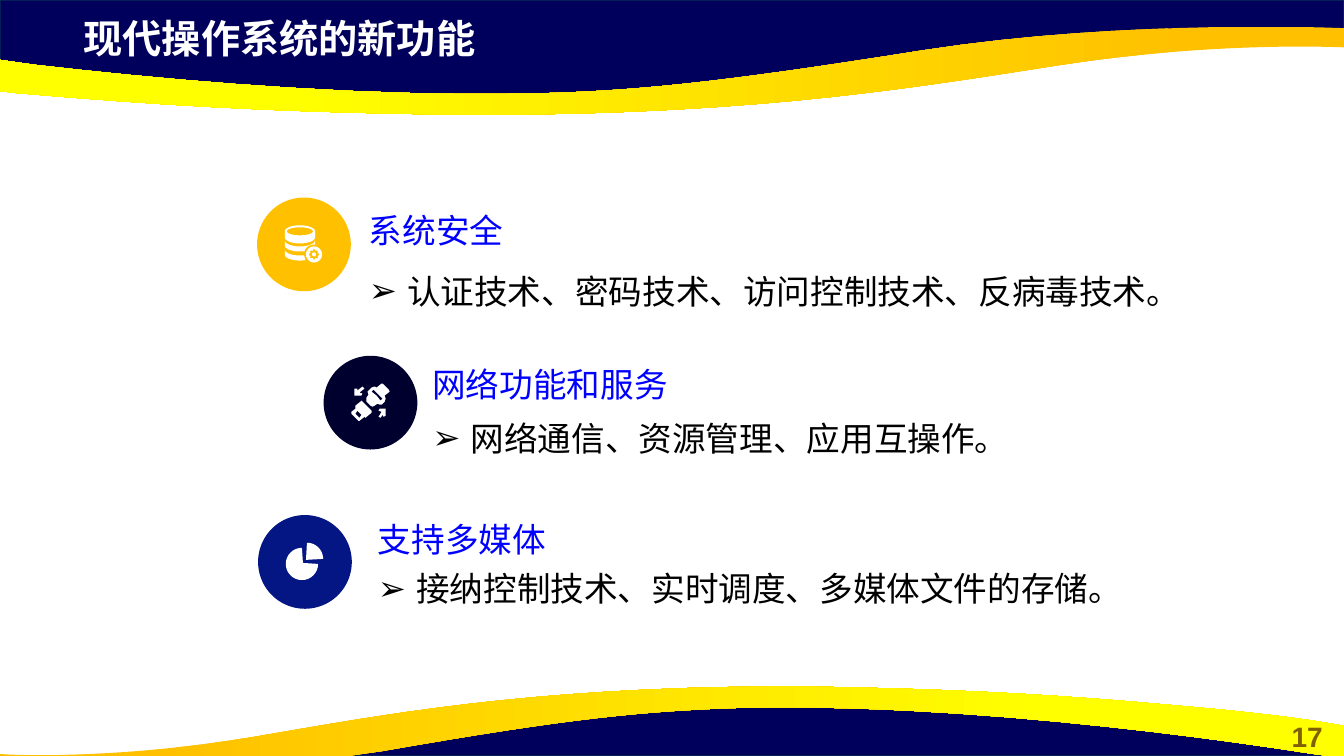
from math import cos, radians, sin

from lxml import etree
from pptx import Presentation
from pptx.dml.color import RGBColor
from pptx.enum.shapes import MSO_SHAPE
from pptx.enum.text import MSO_ANCHOR, PP_ALIGN
from pptx.oxml.ns import qn
from pptx.util import Inches, Pt

OVAL = MSO_SHAPE.OVAL
MIDDLE, TOP = MSO_ANCHOR.MIDDLE, MSO_ANCHOR.TOP
LEFT, CENTER = PP_ALIGN.LEFT, PP_ALIGN.CENTER
W, H = 13.33, 7.5
FONT = "Arial"
ICON = 0.38
DISC = 0.93
COLORS = {
    "navy": "00005C", "edge": "05304F", "gold": "FFC000", "yellow": "FFFF00",
    "ink": "00002E", "blue": "031684", "white": "FFFFFF", "black": "000000",
    "heading": "0000FF", "number": "806000",
}

TOP_NAVY = [(0, 0), (0, 0.7), (2.93, 1.02), (5.59, 1), (7.95, 0.88),
            (10.16, 0.5), (12.38, 0.33), (W, 0.38), (W, 0)]
BOTTOM_NAVY = [(W, H), (W, 7.24), (10.4, 6.91), (7.73, 6.93), (5.38, 7.06),
               (3.17, 7.43), (2.75, H)]
TOP_RIBBON = [
    (4.83, 1.14), (4.43, 1.14, 4.01, 1.13, 3.56, 1.12),
    (2.06, 1.08, 1.1, 1, 0.36, 0.94), (-0.88, 0.84, -1.3, 0.75, -1.33, 0.75),
    (-1.33, 0.42), (-1.33, 0.42, 2.18, 0.98, 5.17, 0.93),
    (6.26, 0.91, 7.08, 0.83, 9.15, 0.5), (11.21, 0.18, 13.33, 0.28, 13.33, 0.28),
    (13.33, 0.47), (13.05, 0.46, 11.95, 0.43, 10.55, 0.64),
    (9.18, 0.85, 7.62, 1.13, 4.83, 1.14)]
BOTTOM_RIBBON = [
    (7.72, 6.81), (8.09, 6.81, 8.47, 6.82, 8.88, 6.83),
    (10.25, 6.87, 11.12, 6.95, 11.79, 7.01), (12.92, 7.11, 13.3, 7.2, 13.33, 7.2),
    (13.33, 7.53), (13.33, 7.53, 10.14, 6.97, 7.42, 7.02),
    (6.42, 7.05, 5.67, 7.12, 3.8, 7.45), (1.92, 7.78, -0.01, 7.68, -0.01, 7.68),
    (-0.01, 7.48), (0.25, 7.5, 1.25, 7.52, 2.52, 7.31),
    (3.76, 7.1, 5.19, 6.82, 7.72, 6.81)]

CONNECTORS = [
    [(0.1, 0.17), (0.2, 0.27), (0.2, 0.29), (0.14, 0.34), (0.13, 0.33),
     (0.08, 0.37), (0.07, 0.37), (0, 0.3), (0, 0.28), (0.04, 0.25),
     (0.04, 0.22), (0.09, 0.18)],
    [(0.06, 0.27), (0.04, 0.3), (0.08, 0.34), (0.1, 0.31)],
    [(0.3, 0), (0.31, 0), (0.37, 0.06), (0.38, 0.08), (0.33, 0.12),
     (0.34, 0.15), (0.33, 0.18), (0.3, 0.21), (0.28, 0.21), (0.26, 0.2),
     (0.23, 0.22), (0.21, 0.23), (0.19, 0.22), (0.15, 0.18), (0.15, 0.14),
     (0.17, 0.11), (0.16, 0.08), (0.2, 0.04), (0.23, 0.03), (0.25, 0.04)],
    [(0.22, 0.06), (0.2, 0.08), (0.25, 0.12), (0.29, 0.17), (0.31, 0.15)],
    [(0.11, 0.03), (0.13, 0.05), (0.08, 0.09), (0.11, 0.1), (0.1, 0.12),
     (0.03, 0.12), (0.03, 0.05), (0.06, 0.05), (0.06, 0.07)],
    [(0.28, 0.25), (0.34, 0.25), (0.34, 0.32), (0.32, 0.33), (0.31, 0.31),
     (0.29, 0.34), (0.27, 0.33), (0.3, 0.28), (0.27, 0.27)],
]


def rgb(name):
    """Return a palette colour."""
    return RGBColor.from_string(COLORS[name])


def curve(path, steps=16):
    """Turn corners and cubic segments into points kept on the slide."""
    pts = []
    for seg in path:
        if len(seg) == 2:
            pts.append(seg)
            continue
        x0, y0 = pts[-1]
        x1, y1, x2, y2, x3, y3 = seg
        for i in range(1, steps + 1):
            t = i / steps
            a, b, c, d = (1 - t) ** 3, 3 * t * (1 - t) ** 2, 3 * t * t * (1 - t), t ** 3
            pts.append((a * x0 + b * x1 + c * x2 + d * x3,
                        a * y0 + b * y1 + c * y2 + d * y3))
    return [(min(max(x, 0), W), min(y, H)) for x, y in pts]


def arc(cx, cy, rx, ry, start=0, end=360, steps=24):
    """Return points along an elliptical arc, angles clockwise from east."""
    angles = [radians(start + (end - start) * i / steps) for i in range(steps + 1)]
    return [(cx + rx * cos(a), cy + ry * sin(a)) for a in angles]


def outline(slide, contours, x=0, y=0):
    """Draw closed contours as one freeform with its origin at x, y."""
    fb = None
    for pts in contours:
        pts = [(Inches(x + px), Inches(y + py)) for px, py in pts]
        if fb is None:
            fb = slide.shapes.build_freeform(*pts[0])
        else:
            fb.move_to(*pts[0])
        fb.add_line_segments(pts[1:], close=True)
    sp = fb.convert_to_shape()
    sp.shadow.inherit = False
    sp.line.fill.background()
    return sp


def paint(sp, color):
    """Give a shape a solid fill."""
    sp.fill.solid()
    sp.fill.fore_color.rgb = rgb(color)


def disc(slide, x, y, size, color):
    """Draw a plain filled circle."""
    sp = slide.shapes.add_shape(OVAL, Inches(x), Inches(y), Inches(size), Inches(size))
    sp.shadow.inherit = False
    sp.line.fill.background()
    paint(sp, color)


def wave(slide, navy, ribbon, angle):
    """Draw a navy band with its golden ribbon."""
    sp = outline(slide, [navy])
    paint(sp, "navy")
    sp.line.color.rgb = rgb("edge")
    sp.line.width = Pt(1)
    sp = outline(slide, [curve(ribbon)])
    sp.fill.gradient()
    sp.fill.gradient_angle = angle
    for stop, pos, color in zip(sp.fill.gradient_stops, (0.11, 0.78), ("gold", "yellow")):
        stop.position = pos
        stop.color.rgb = rgb(color)


def database_icon(slide, x, y, color):
    """Draw a stack of disks with a gear."""
    cx, rx, ry = 0.15, 0.15, 0.06
    stack = [arc(cx, 0.06, rx, ry, 180, 360) + arc(cx, 0.12, rx, ry, 0, 180),
             arc(cx, 0.06, 0.13, 0.04)]
    for top in (0.15, 0.24):
        stack.append(arc(cx, top, rx, ry, 180, 0) + arc(cx, top + 0.05, rx, ry, 0, 180))
    paint(outline(slide, stack, x, y), "white")
    gx = gy = 0.29
    disc(slide, x + gx - 0.1, y + gy - 0.1, 0.2, color)
    teeth = []
    for i in range(8):
        teeth += arc(gx, gy, 0.05, 0.05, 45 * i - 12, 45 * i + 12, 2)
        teeth += arc(gx, gy, 0.04, 0.04, 45 * i + 16, 45 * i + 29, 2)
    gear = [arc(gx, gy, 0.08, 0.08), teeth, arc(gx, gy, 0.02, 0.02)]
    paint(outline(slide, gear, x, y), "white")


def connector_icon(slide, x, y, color):
    """Draw two diagonal connectors with arrows."""
    paint(outline(slide, CONNECTORS, x, y), "white")


def pie_icon(slide, x, y, color):
    """Draw a pie with one slice pulled out."""
    pie = [[(0.17, 0.2)] + arc(0.16, 0.21, 0.16, 0.16, 0, 270),
           [(0.2, 0.17)] + arc(0.21, 0.16, 0.16, 0.16, 270, 360)]
    paint(outline(slide, pie, x, y), "white")


def place(sp, box):
    """Move a shape to a box."""
    sp.left, sp.top, sp.width, sp.height = map(Inches, box)


def write(p, text, size, color, bold=False):
    """Add a formatted run to a paragraph."""
    r = p.add_run()
    r.text = text
    r.font.size, r.font.bold, r.font.name = Pt(size), bold, FONT
    r.font.color.rgb = rgb(color)


def frame(sp, anchor, align):
    """Set up a wrapping text frame and return its first paragraph."""
    tf = sp.text_frame
    tf.word_wrap, tf.vertical_anchor = True, anchor
    tf.paragraphs[0].alignment = align
    return tf.paragraphs[0]


def bullet(p):
    """Give a paragraph a hanging arrow bullet."""
    pPr = p._p.get_or_add_pPr()
    pPr.set("marL", str(Inches(0.38)))
    pPr.set("indent", str(-Inches(0.38)))
    clr = etree.SubElement(pPr, qn("a:buClr"))
    etree.SubElement(clr, qn("a:srgbClr")).set("val", COLORS["black"])
    etree.SubElement(pPr, qn("a:buFont")).set("typeface", FONT)
    etree.SubElement(pPr, qn("a:buChar")).set("char", "➢")


def feature(slide, circle, color, icon, box, heading, detail, spacing):
    """Draw one feature: icon disc, heading and bulleted detail."""
    x, y = circle
    disc(slide, x, y, DISC, color)
    inset = (DISC - ICON) / 2
    icon(slide, x + inset, y + inset, color)
    sp = slide.shapes.add_textbox(*map(Inches, box))
    p = frame(sp, MIDDLE, LEFT)
    p.line_spacing = spacing[0]
    write(p, heading, 24, "heading")
    p = sp.text_frame.add_paragraph()
    p.line_spacing = spacing[1]
    bullet(p)
    write(p, detail, 24, "black")


def header(slide, box, text):
    """Place the title on top of the navy band."""
    sp = slide.shapes.title
    sp.element.getparent().append(sp.element)
    place(sp, box)
    write(frame(sp, MIDDLE, LEFT), text, 28, "white", True)


def page_number(slide, box, text):
    """Place the page number."""
    sp = slide.shapes.add_textbox(*map(Inches, box))
    write(frame(sp, TOP, CENTER), text, 20, "number", True)


def main():
    """Build the slide and save it."""
    prs = Presentation()
    prs.slide_width, prs.slide_height = Inches(W), Inches(H)
    slide = prs.slides.add_slide(prs.slide_layouts[5])
    wave(slide, TOP_NAVY, TOP_RIBBON, 180)
    wave(slide, BOTTOM_NAVY, BOTTOM_RIBBON, 0)
    page_number(slide, (12.6, 7.09, 0.73, 0.44), "17")
    header(slide, (0.73, 0.09, 7.68, 0.57), "现代操作系统的新功能")
    feature(slide, (2.55, 1.96), "gold", database_icon, (3.56, 1.79, 8.81, 1.39),
            "系统安全", "认证技术、密码技术、访问控制技术、反病毒技术。", (1.5, 1.5))
    feature(slide, (3.21, 3.53), "ink", connector_icon, (4.19, 3.43, 7.12, 1.17),
            "网络功能和服务", "网络通信、资源管理、应用互操作。", (1.32, 1.32))
    feature(slide, (2.56, 5.11), "blue", pie_icon, (3.65, 5.11, 8.2, 0.97),
            "支持多媒体", "接纳控制技术、实时调度、多媒体文件的存储。", (1, 1.22))
    prs.save("out.pptx")


if __name__ == "__main__":
    main()
